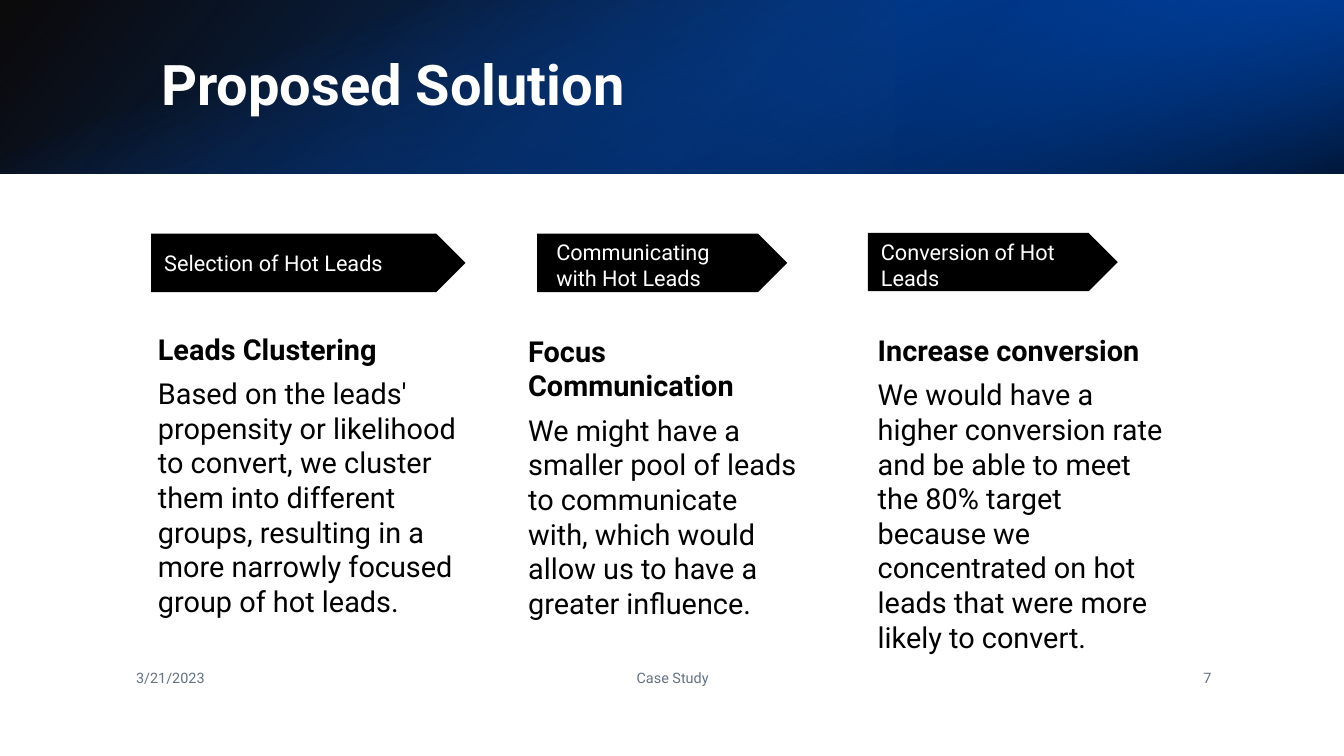
"""Build the Proposed Solution slide."""
from lxml import etree
from pptx import Presentation
from pptx.dml.color import RGBColor
from pptx.enum.shapes import MSO_SHAPE
from pptx.enum.text import MSO_ANCHOR, MSO_AUTO_SIZE, PP_ALIGN
from pptx.oxml.ns import qn
from pptx.util import Cm, Pt

RECT, ARROW = MSO_SHAPE.RECTANGLE, MSO_SHAPE.PENTAGON
TOP, MID = MSO_ANCHOR.TOP, MSO_ANCHOR.MIDDLE
LEFT, MIDST, RIGHT = PP_ALIGN.LEFT, PP_ALIGN.CENTER, PP_ALIGN.RIGHT
GROW, FIXED = MSO_AUTO_SIZE.SHAPE_TO_FIT_TEXT, MSO_AUTO_SIZE.NONE

FONT = "Roboto"
COLORS = {"black": "000000", "white": "FFFFFF", "gray": "637183",
          "royal": "004EBF", "navy": "003480", "azure": "0068FF"}
WIDE, HIGH, BAND = 33.87, 19.05, 4.38

STEPS = [
    {"arrow": (3.81, 5.89, 7.92, 1.47), "label": None,
     "body": (3.73, 8.23, 8.28, 7.54),
     "name": "Selection of Hot Leads", "head": "Leads Clustering",
     "text": "Based on the leads' propensity or likelihood to convert, we "
             "cluster them into different groups, resulting in a more "
             "narrowly focused group of hot leads."},
    {"arrow": (13.54, 5.89, 6.3, 1.47), "label": (13.77, 5.89, 5.28, 1.57),
     "body": (13.06, 8.28, 7.32, 7.57),
     "name": "Communicating with Hot Leads", "head": "Focus Communication",
     "text": "We might have a smaller pool of leads to communicate with, "
             "which would allow us to have a greater influence."},
    {"arrow": (21.87, 5.87, 6.3, 1.47), "label": (21.95, 5.89, 5.41, 1.57),
     "body": (21.87, 8.26, 7.72, 8.51),
     "name": "Conversion of Hot Leads", "head": "Increase conversion",
     "text": "We would have a higher conversion rate and be able to meet the "
             "80% target because we concentrated on hot leads that were more "
             "likely to convert."},
]


def place(box):
    """Turn a box in centimetres into lengths."""
    return [Cm(side) for side in box]


def write(para, text, size=15.5, color="white", bold=False, align=LEFT,
          before=0, after=0, lines=1.0):
    """Put formatted text into a paragraph."""
    para.alignment, para.line_spacing = align, lines
    para.space_before, para.space_after = Pt(before), Pt(after)
    run = para.add_run()
    run.text = text
    font = run.font
    font.name, font.size, font.bold = FONT, Pt(size), bold
    font.color.rgb = RGBColor.from_string(COLORS[color])


def add_box(slide, box, anchor=TOP, fit=FIXED):
    """Add a wrapping text box and return its frame."""
    frame = slide.shapes.add_textbox(*place(box)).text_frame
    frame.word_wrap, frame.auto_size = True, fit
    frame.vertical_anchor = anchor
    return frame


def add_plain(slide, kind, box):
    """Add a shape with no line or shadow."""
    shape = slide.shapes.add_shape(kind, *place(box))
    shape.shadow.inherit = False
    shape.line.fill.background()
    return shape


def add_fade(slide, box, stops, angle, turn=0, flip=False):
    """Add a rectangle with a partly clear gradient."""
    shape = add_plain(slide, RECT, box)
    shape.rotation = turn
    props = shape._element.spPr
    frame = props.find(qn("a:xfrm"))
    if flip:
        frame.set("flipH", "1")
    fill = etree.Element(qn("a:gradFill"), rotWithShape="1")
    row = etree.SubElement(fill, qn("a:gsLst"))
    for spot, color, alpha in stops:
        stop = etree.SubElement(row, qn("a:gs"), pos=str(spot * 1000))
        tint = etree.SubElement(stop, qn("a:srgbClr"), val=COLORS[color])
        etree.SubElement(tint, qn("a:alpha"), val=str(alpha * 1000))
    etree.SubElement(fill, qn("a:lin"), ang=str(angle * 60000), scaled="0")
    props.find(qn("a:prstGeom")).addnext(fill)


def add_header(slide, box):
    """Draw the blue band and its title."""
    left, top, wide, high = box
    add_fade(slide, box, [(0, "black", 96), (100, "royal", 100)], 140,
             flip=True)
    third = wide / 3
    add_fade(slide, (left + wide - third, top, third, high),
             [(19, "navy", 68), (100, "azure", 79)], 320, turn=180, flip=True)
    shift = (wide - high) / 2
    add_fade(slide, (left + shift, top - shift, high, wide),
             [(23, "azure", 0), (99, "black", 74)], 340, turn=90)
    frame = add_box(slide, (left + 3.81, top + 0.97, 27.89, 2.44), MID)
    write(frame.paragraphs[0], "Proposed Solution", size=40, bold=True,
          lines=0.9)


def add_step(slide, step):
    """Draw one arrow with its label and story."""
    arrow = add_plain(slide, ARROW, step["arrow"])
    arrow.fill.solid()
    arrow.fill.fore_color.rgb = RGBColor.from_string(COLORS["black"])
    if step["label"]:
        frame = add_box(slide, step["label"], fit=GROW)
    else:
        frame = arrow.text_frame
        frame.word_wrap, frame.vertical_anchor = True, MID
        frame.margin_left = frame.margin_right = Cm(0.33)
        frame.margin_top = frame.margin_bottom = Cm(0.33)
    write(frame.paragraphs[0], step["name"], after=6)
    story = add_box(slide, step["body"], fit=GROW)
    write(story.paragraphs[0], step["head"], size=20.6, color="black",
          bold=True)
    write(story.add_paragraph(), step["text"], size=20.6, color="black",
          before=6.9, after=6.9)


def add_footer(slide, box):
    """Write the date, topic and page number."""
    left, top, wide, high = box
    parts = [("3/21/2023", 0, 4.11, LEFT), ("Case Study", 8.81, 9.93, MIDST),
             ("7", wide - 4.01, 4.01, RIGHT)]
    for text, shift, span, align in parts:
        frame = add_box(slide, (left + shift, top, span, high), MID)
        write(frame.paragraphs[0], text, size=10.3, color="gray",
              align=align, after=6)


def main():
    """Build and save the deck."""
    deck = Presentation()
    deck.slide_width, deck.slide_height = Cm(WIDE), Cm(HIGH)
    slide = deck.slides.add_slide(deck.slide_layouts[6])
    add_header(slide, (0, 0, WIDE, BAND))
    add_footer(slide, (3.18, 16.64, 27.6, 0.89))
    for step in STEPS:
        add_step(slide, step)
    deck.save("out.pptx")


if __name__ == "__main__":
    main()
